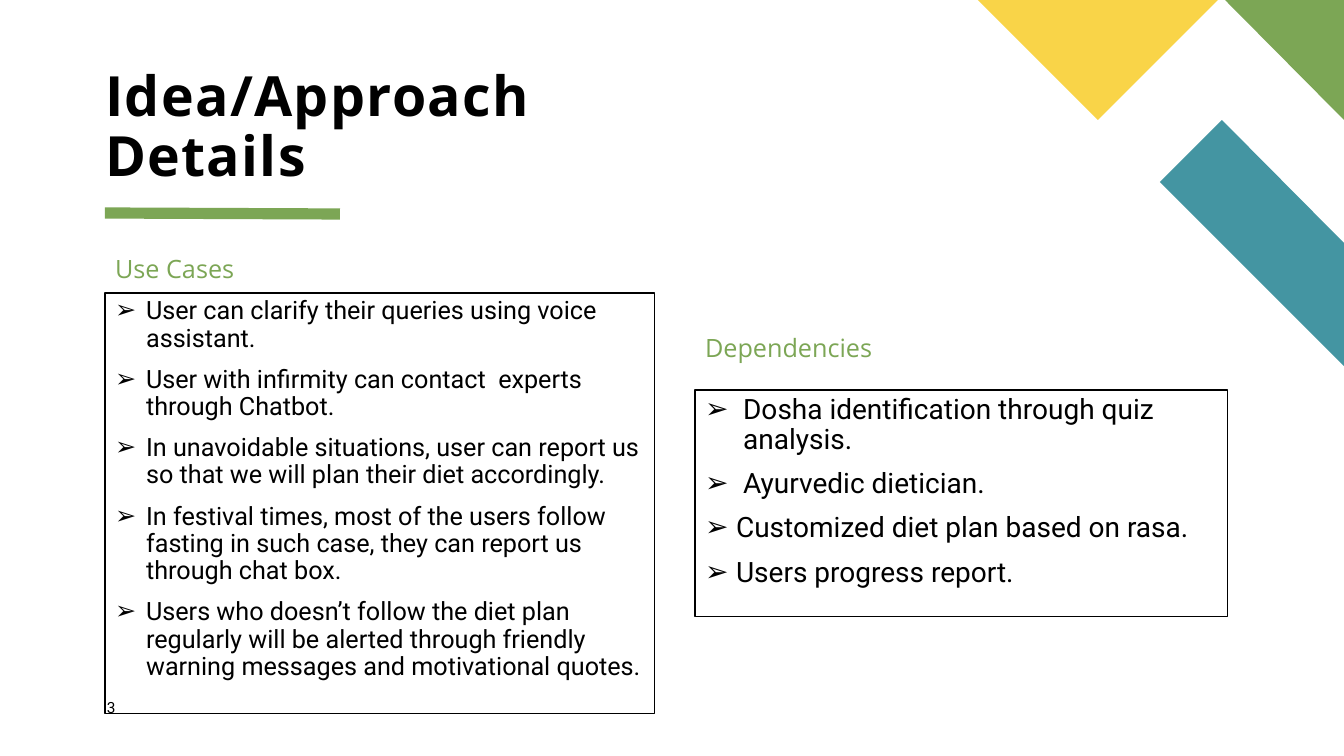
import dataclasses

import pptx
import pptx.dml.color
import pptx.enum.shapes
import pptx.enum.text
import pptx.oxml
import pptx.oxml.ns
import pptx.util

SCALE = 914400 / 100.8
COLOURS = {"green": "7CA655", "teal": "4495A2", "yellow": "F9D448", "ink": "000000"}
HEADING_FONT = "Open Sans"
TEXT_FONT = "Roboto"


@dataclasses.dataclass
class Frame:
    left: int
    top: int
    width: int
    height: int


@dataclasses.dataclass
class Ribbon:
    colour: str
    points: list[tuple[int, int]]


@dataclasses.dataclass
class Item:
    text: str
    indent: int = 31


@dataclasses.dataclass
class Section:
    heading: str
    heading_frame: Frame
    list_frame: Frame
    size: int
    items: list[Item]


RIBBONS = [
    Ribbon("teal", [(1344, 366), (1344, 243), (1222, 120), (1160, 182)]),
    Ribbon("green", [(1344, 120), (1344, 0), (1225, 0)]),
    Ribbon("yellow", [(978, 0), (1098, 120), (1218, 0)]),
]

SECTIONS = [
    Section("Use Cases", Frame(105, 252, 533, 35), Frame(105, 293, 550, 421), 18, [
        Item("User can clarify their queries using voice assistant."),
        Item("User with infirmity can contact  experts through Chatbot."),
        Item("In unavoidable situations, user can report us so that we will plan "
             "their diet accordingly."),
        Item("In festival times, most of the users follow fasting in such case, "
             "they can report us through chat box."),
        Item("Users who doesn’t follow the diet plan regularly will be alerted "
             "through friendly warning messages and motivational quotes."),
    ]),
    Section("Dependencies", Frame(695, 331, 566, 35), Frame(695, 390, 533, 227), 20, [
        Item("Dosha identification through quiz analysis.", 38),
        Item("Ayurvedic dietician.", 38),
        Item("Customized diet plan based on rasa."),
        Item("Users progress report."),
    ]),
]


def emu(pixels: int) -> pptx.util.Emu:
    return pptx.util.Emu(round(pixels * SCALE))


def rgb(name: str) -> pptx.dml.color.RGBColor:
    return pptx.dml.color.RGBColor.from_string(COLOURS[name])


def place(box, frame: Frame) -> None:
    box.left, box.top = emu(frame.left), emu(frame.top)
    box.width, box.height = emu(frame.width), emu(frame.height)


def prepare(box, anchor, inset: bool = True) -> None:
    text_frame = box.text_frame
    text_frame.word_wrap = True
    text_frame.auto_size = pptx.enum.text.MSO_AUTO_SIZE.NONE
    text_frame.vertical_anchor = anchor
    if not inset:
        text_frame.margin_left = text_frame.margin_right = 0
        text_frame.margin_top = text_frame.margin_bottom = 0


def write(para, text: str, font: str, size: float, colour: str, bold: bool = False):
    para.alignment = pptx.enum.text.PP_ALIGN.LEFT
    span = para.add_run()
    span.text = text
    span.font.name = font
    span.font.size = pptx.util.Pt(size)
    span.font.bold = bold
    span.font.color.rgb = rgb(colour)
    return span


def space(para, before: int) -> None:
    para.line_spacing = 0.9
    para.space_before = pptx.util.Pt(before)
    para.space_after = pptx.util.Pt(0)


def indent(para, pixels: int, bullet: str = "") -> None:
    props = para._p.get_or_add_pPr()
    props.set("marL", str(emu(pixels)))
    props.set("indent", str(-emu(pixels)))
    namespace = pptx.oxml.ns.nsdecls("a")
    marks = ['buFont {} typeface="Arial"', f'buChar {{}} char="{bullet}"'] if bullet else ["buNone {}"]
    for mark in marks:
        props.append(pptx.oxml.parse_xml(f"<a:{mark.format(namespace)}/>"))


def draw_ribbon(page, ribbon: Ribbon) -> None:
    builder = page.shapes.build_freeform(*ribbon.points[0], scale=SCALE)
    builder.add_line_segments(ribbon.points[1:], close=True)
    shape = builder.convert_to_shape()
    shape.shadow.inherit = False
    shape.fill.solid()
    shape.fill.fore_color.rgb = rgb(ribbon.colour)
    shape.line.fill.background()


def draw_underline(page) -> None:
    line = page.shapes.add_connector(
        pptx.enum.shapes.MSO_CONNECTOR.STRAIGHT, emu(105), emu(213), emu(340), emu(214))
    line.line.color.rgb = rgb("green")
    line.line.width = pptx.util.Pt(8)
    line._element.spPr.append(
        pptx.oxml.parse_xml(f"<a:effectLst {pptx.oxml.ns.nsdecls('a')}/>"))


def draw_title(title) -> None:
    place(title, Frame(105, 121, 634, 67))
    prepare(title, pptx.enum.text.MSO_ANCHOR.BOTTOM, inset=False)
    para = title.text_frame.paragraphs[0]
    space(para, 0)
    span = write(para, "Idea/Approach Details", HEADING_FONT, 39.6, "ink", bold=True)
    span.font._element.set("spc", "100")


def draw_section(heading, listing, section: Section) -> None:
    for box, frame in ((heading, section.heading_frame), (listing, section.list_frame)):
        place(box, frame)
        prepare(box, pptx.enum.text.MSO_ANCHOR.TOP)
    para = heading.text_frame.paragraphs[0]
    space(para, 10)
    indent(para, 25)
    write(para, section.heading, HEADING_FONT, 18, "green")

    listing.line.color.rgb = rgb("ink")
    listing.line.width = pptx.util.Pt(0.75)
    for number, item in enumerate(section.items):
        text_frame = listing.text_frame
        para = text_frame.add_paragraph() if number else text_frame.paragraphs[0]
        space(para, 10)
        indent(para, item.indent, "➢")
        write(para, item.text, TEXT_FONT, section.size, "ink")


def draw_page_number(page) -> None:
    box = page.shapes.add_textbox(emu(107), emu(698), emu(57), emu(27))
    prepare(box, pptx.enum.text.MSO_ANCHOR.TOP, inset=False)
    write(box.text_frame.paragraphs[0], "3", TEXT_FONT, 11, "ink")


deck = pptx.Presentation()
deck.slide_width, deck.slide_height = emu(1344), emu(756)
page = deck.slides.add_slide(deck.slide_layouts.get_by_name("Comparison"))
draw_underline(page)
for ribbon in RIBBONS:
    draw_ribbon(page, ribbon)
title, *bodies = page.placeholders
draw_title(title)
for heading, listing, section in zip(bodies[::2], bodies[1::2], SECTIONS):
    draw_section(heading, listing, section)
draw_page_number(page)
deck.save("out.pptx")
